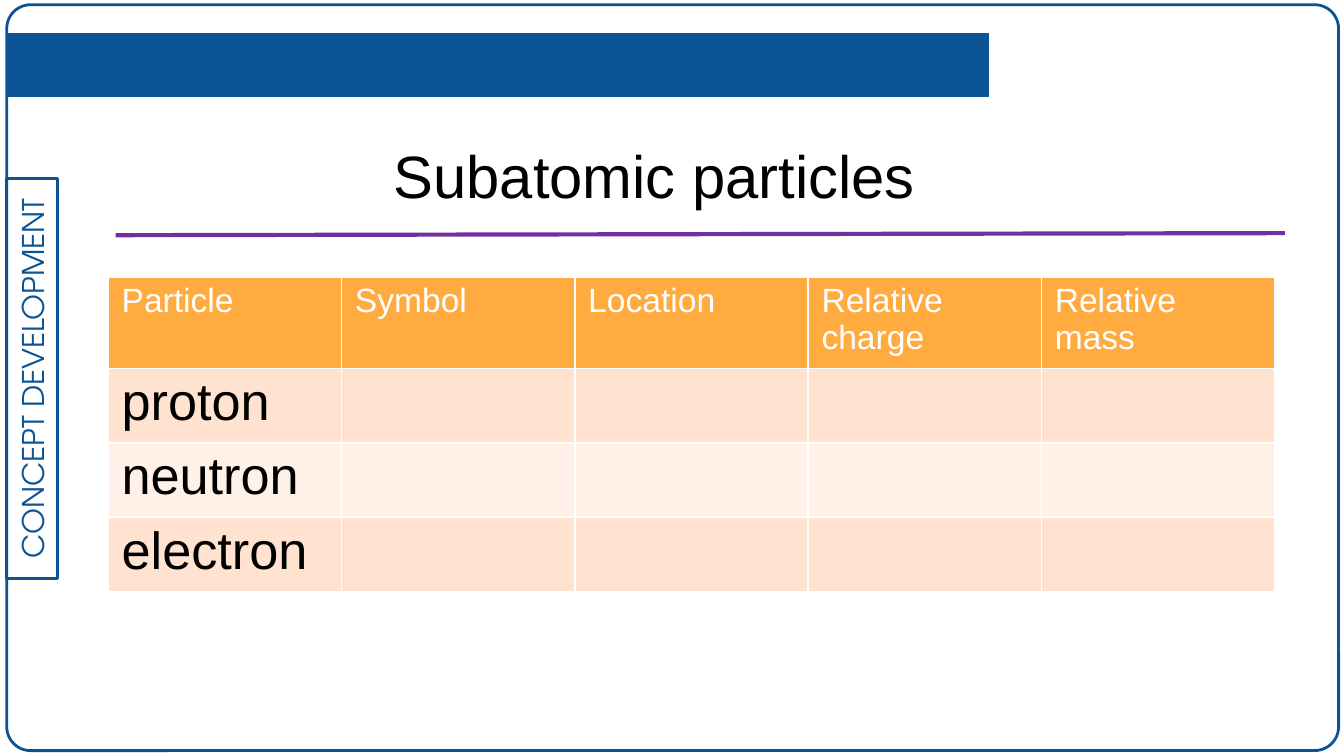
import dataclasses

import lxml.etree
import pptx
import pptx.dml.color
import pptx.enum.shapes
import pptx.enum.text
import pptx.oxml.ns
import pptx.util

PX = 4572  # EMU per px, 200 px to the inch
SHAPE = pptx.enum.shapes.MSO_SHAPE
ALIGN = pptx.enum.text.PP_ALIGN
ANCHOR = pptx.enum.text.MSO_ANCHOR


@dataclasses.dataclass(frozen=True)
class Theme:
    blue: str = "0B5394"
    purple: str = "7030A0"
    black: str = "000000"
    white: str = "FFFFFF"
    header: str = "FFAB40"
    bands: tuple = ("FFE2CF", "FFF1E8")
    body_font: str = "Arial"
    label_font: str = "TeX Gyre Adventor"
    title_size: int = 32
    row_size: int = 28
    header_size: int = 18
    label_size: int = 16
    cell_spacing: float = 0.97


THEME = Theme()


def px(*values):
    return [pptx.util.Emu(v * PX) for v in values]


def rgb(value):
    return pptx.dml.color.RGBColor.from_string(value)


def add_run(p, text, size, color, font=THEME.body_font):
    r = p.add_run()
    r.text = text
    r.font.size = pptx.util.Pt(size)
    r.font.name = font
    r.font.bold = False
    r.font.color.rgb = rgb(color)


def add_box(s, kind, box, width, fill=None):
    sp = s.shapes.add_shape(kind, *px(*box))
    sp.shadow.inherit = False
    if fill:
        sp.fill.solid()
        sp.fill.fore_color.rgb = rgb(fill)
    else:
        sp.fill.background()
    sp.line.color.rgb = rgb(THEME.blue)
    sp.line.width = pptx.util.Pt(width)
    return sp


def add_frame(s, box):
    x, y, w, h = box
    # Rounded border
    border = add_box(s, SHAPE.ROUNDED_RECTANGLE, box, 1.5)
    border.adjustments[0] = 0.032
    # Side label, turned to read upwards
    length, depth = 596, 76
    left = x + (depth - length) // 2
    label = add_box(s, SHAPE.RECTANGLE, (left, y + 518, length, depth), 1.5)
    label.rotation = 270
    tf = label.text_frame
    tf.vertical_anchor = ANCHOR.MIDDLE
    tf.margin_left, tf.margin_top, tf.margin_right, tf.margin_bottom = px(20, 20, 20, 20)
    p = tf.paragraphs[0]
    p.alignment = ALIGN.CENTER
    add_run(p, "CONCEPT DEVELOPMENT", THEME.label_size, THEME.blue, THEME.label_font)
    # Top bar
    add_box(s, SHAPE.RECTANGLE, (x, y + 43, 1461, 93), 0.75, THEME.blue)


def add_title(s, box):
    x, y, w, h = box
    # Heading
    tf = s.shapes.add_textbox(*px(x + 346, y, 912, h)).text_frame
    tf.word_wrap = True
    p = tf.paragraphs[0]
    p.alignment = ALIGN.CENTER
    add_run(p, "Subatomic particles", THEME.title_size, THEME.black)
    # Rule below the heading
    rule = s.shapes.add_connector(pptx.enum.shapes.MSO_CONNECTOR.STRAIGHT,
                                  *px(x, y + 153, x + w, y + 150))
    rule.line.color.rgb = rgb(THEME.purple)
    rule.line.width = pptx.util.Pt(2.25)
    sp_pr = rule._element.spPr
    lxml.etree.SubElement(sp_pr, pptx.oxml.ns.qn("a:effectLst"))


def add_particle_table(s, box):
    x, y, w, h = box
    headers = ["Particle", "Symbol", "Location", "Relative charge", "Relative mass"]
    particles = ["proton", "neutron", "electron"]
    blanks = [""] * (len(headers) - 1)
    rows = [headers] + [[name] + blanks for name in particles]
    # The default table style draws the white borders
    table = s.shapes.add_table(len(rows), len(headers), *px(x, y, w, h)).table
    # Grid
    header_height = 131
    row_height = (h - header_height) // len(particles)
    for i, row in enumerate(table.rows):
        row.height = px(row_height if i else header_height)[0]
    # Cells
    for i, texts in enumerate(rows):
        size = THEME.row_size if i else THEME.header_size
        color = THEME.black if i else THEME.white
        fill = THEME.bands[(i - 1) % 2] if i else THEME.header
        for j, text in enumerate(texts):
            cell = table.cell(i, j)
            cell.fill.solid()
            cell.fill.fore_color.rgb = rgb(fill)
            if text:
                p = cell.text_frame.paragraphs[0]
                p.line_spacing = THEME.cell_spacing
                add_run(p, text, size, color)


def main():
    prs = pptx.Presentation()
    prs.slide_width, prs.slide_height = px(2000, 1125)
    s = prs.slides.add_slide(prs.slide_layouts[6])
    add_frame(s, (10, 7, 1982, 1110))
    add_title(s, (172, 197, 1740, 286))
    add_particle_table(s, (161, 412, 1736, 452))
    prs.save("out.pptx")


if __name__ == "__main__":
    main()
